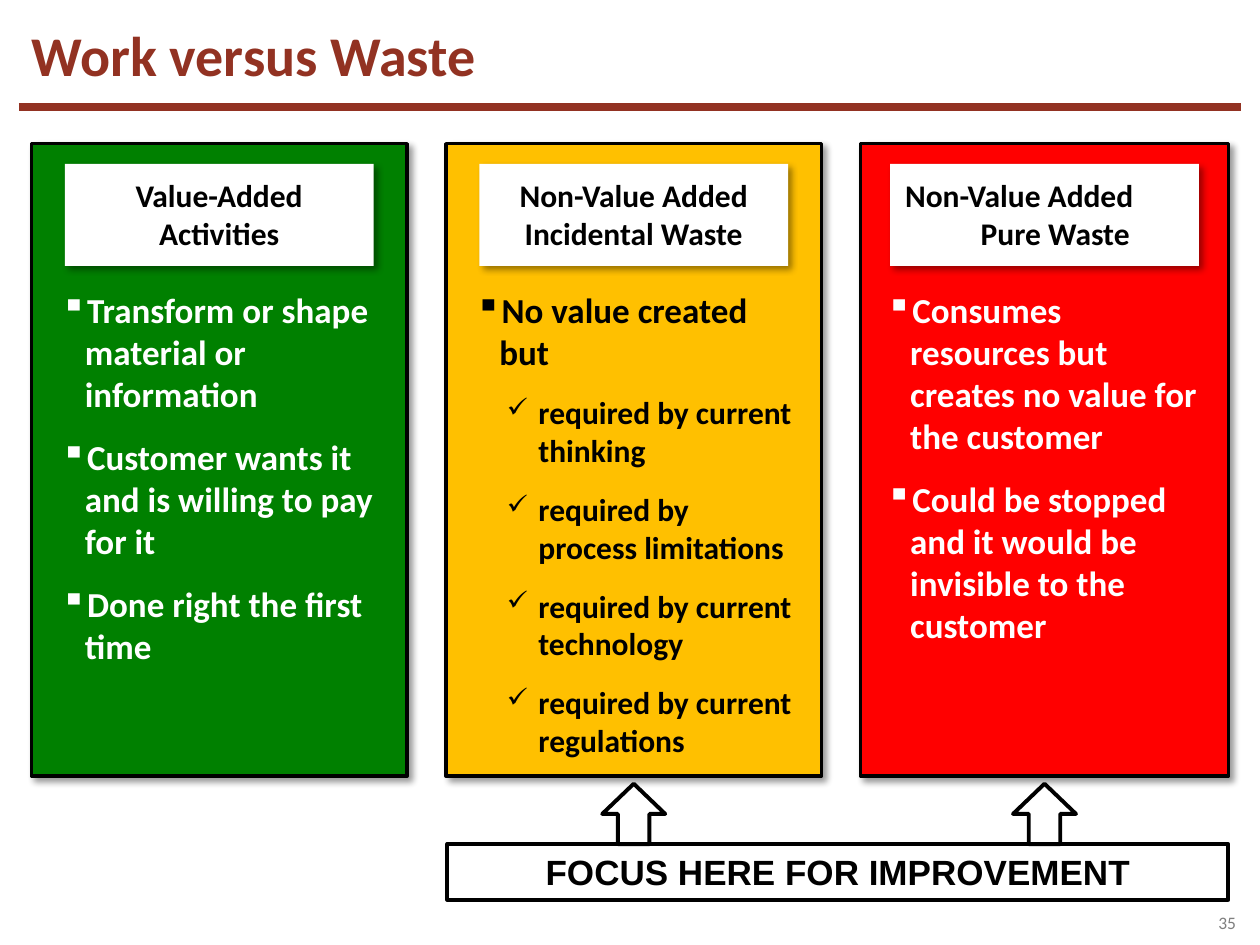
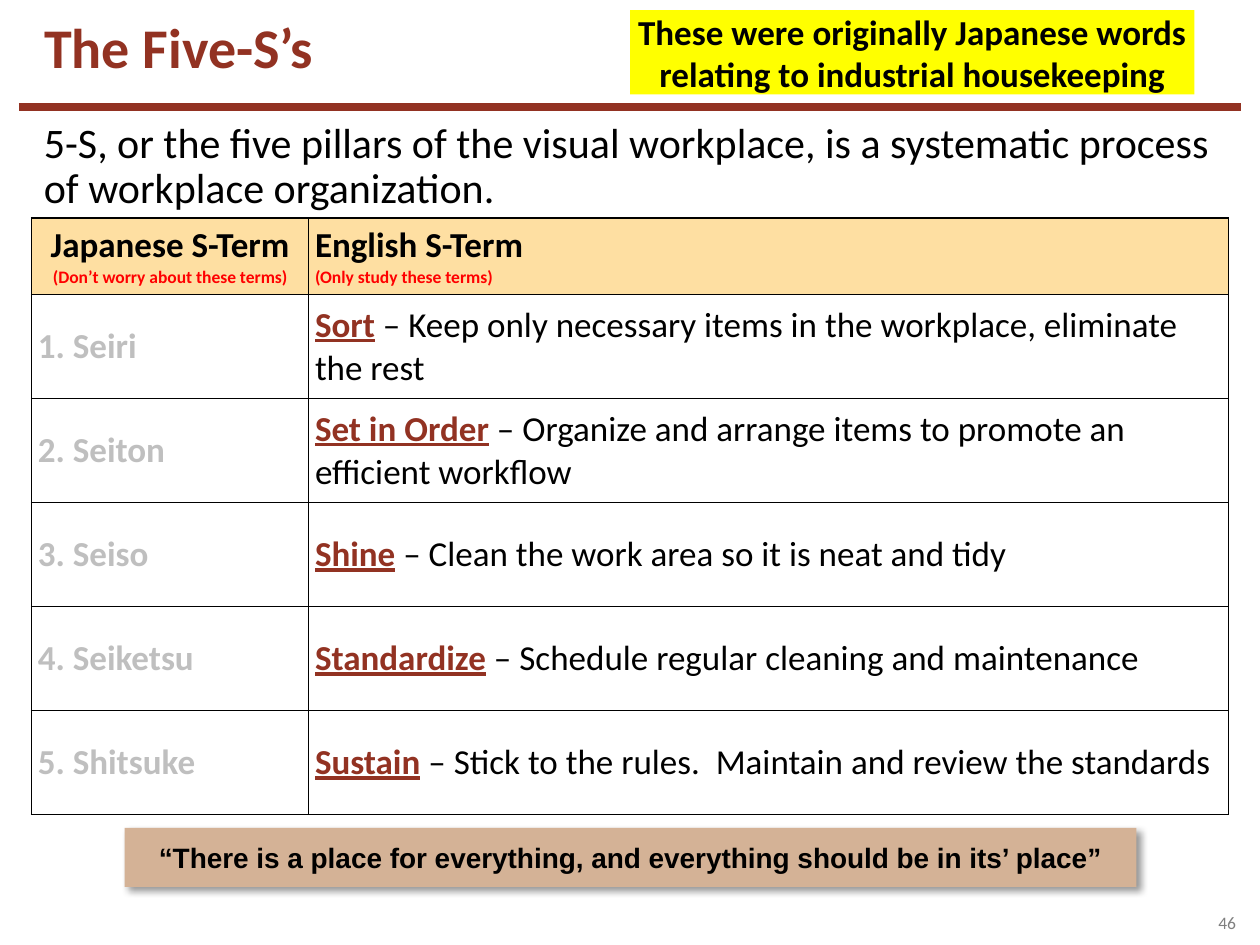
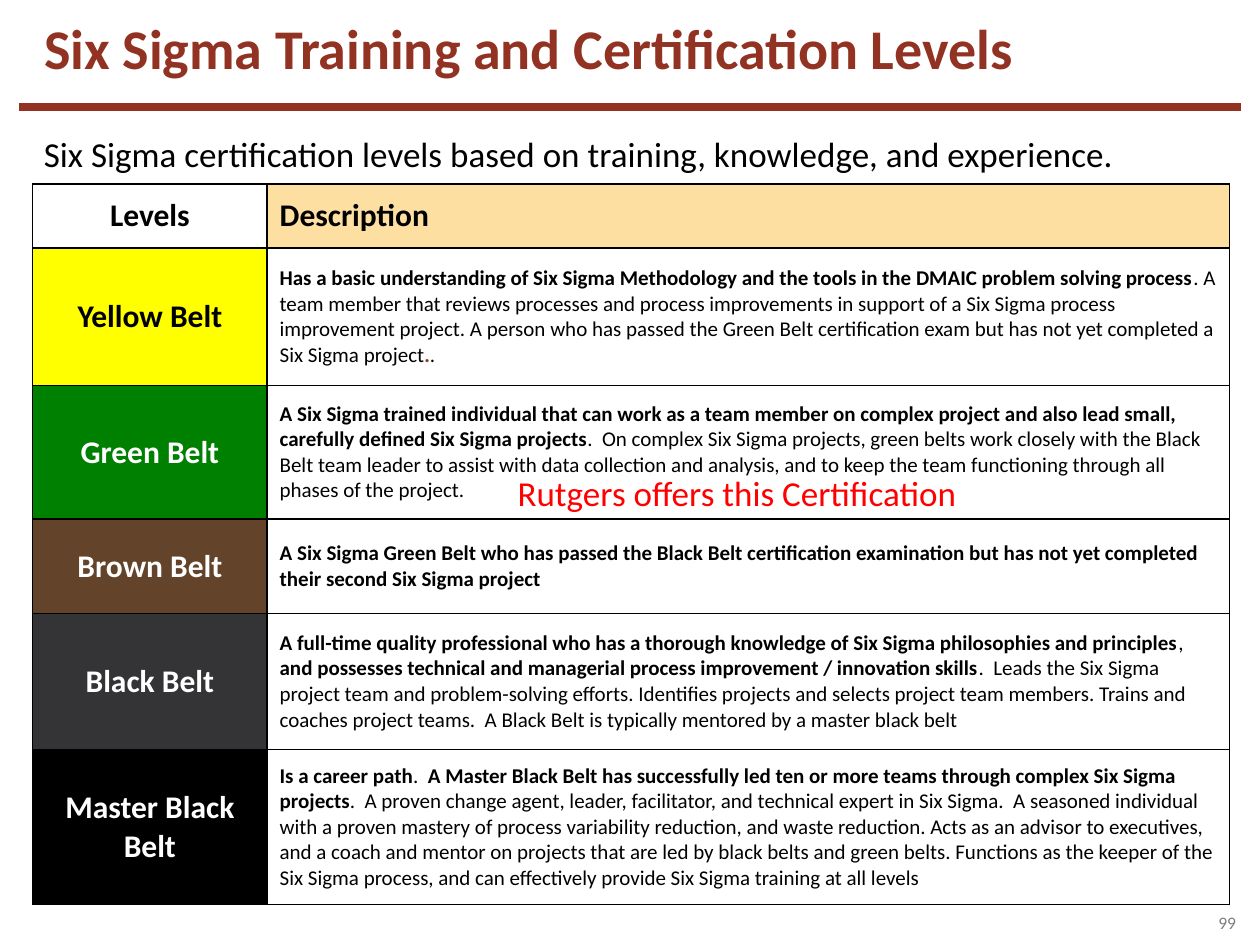
from dataclasses import dataclass
from itertools import chain

from lxml.etree import SubElement
from pptx import Presentation
from pptx.dml.color import RGBColor
from pptx.enum.shapes import MSO_CONNECTOR, MSO_SHAPE
from pptx.enum.text import MSO_ANCHOR, MSO_AUTO_SIZE, PP_ALIGN
from pptx.oxml.ns import qn
from pptx.util import Inches, Pt


@dataclass(frozen=True)
class Theme:
    font: str = "Calibri"
    strong_font: str = "Arial"
    brick: str = "923222"
    black: str = "000000"
    white: str = "FFFFFF"
    red: str = "FF0000"
    green: str = "008000"
    amber: str = "FFC000"
    yellow: str = "FFFF00"
    brown: str = "634329"
    charcoal: str = "343436"
    cream: str = "FEDFA2"
    tan: str = "D4B296"
    silver: str = "BFBFBF"
    grey: str = "7F7F7F"
    title_size: int = 32
    lead_size: int = 24
    body_size: int = 20
    label_size: int = 18
    quote_size: int = 16
    detail_size: int = 12
    small_size: int = 10
    rule_width: float = 4.5
    frame_width: float = 2.25
    panel_width: float = 2
    border_width: float = 1


THEME = Theme()
GRID_COLUMNS = 40
GRID_ROWS = 30
SLIDE_WIDTH = Inches(10)
SLIDE_HEIGHT = Inches(7.5)
INSETS = (0.4, 0.2)
NO_INSETS = (0, 0)


@dataclass(frozen=True)
class Span:
    text: str
    bold: bool = False
    color: str = ""
    underline: bool = False


@dataclass(frozen=True)
class Para:
    content: str | tuple
    size: int = THEME.body_size
    color: str = THEME.black
    bold: bool = False
    font: str = THEME.font
    align: PP_ALIGN = PP_ALIGN.LEFT
    line_spacing: float = 1
    space_after: int = 0
    bullet: str = ""
    bullet_percent: int = 100
    level: int = 0
    left: float = 0
    right: float = 0
    indent: float = 0


@dataclass(frozen=True)
class Cell:
    paras: tuple
    fill: str = ""


def across(columns):
    return round(SLIDE_WIDTH * columns / GRID_COLUMNS)


def down(rows):
    return round(SLIDE_HEIGHT * rows / GRID_ROWS)


def place(box):
    left, top, width, height = box
    return across(left), down(top), across(width), down(height)


def centred(text, size, **style):
    return Para(text, size, align=PP_ALIGN.CENTER, **style)


def point(text, color):
    return Para(text, color=color, bold=True, space_after=12,
                bullet="▪", left=0.76, indent=-0.76)


def check(text):
    return Para(text, THEME.label_size, bold=True, space_after=12, level=1,
                bullet="✓", bullet_percent=85, left=2, indent=-1)


def paint(fill, color):
    if color:
        fill.solid()
        fill.fore_color.rgb = RGBColor.from_string(color)
    else:
        fill.background()


def write_para(paragraph, para):
    paragraph.alignment = para.align
    paragraph.level = para.level
    paragraph.line_spacing = para.line_spacing
    paragraph.space_before = Pt(0)
    paragraph.space_after = Pt(para.space_after)
    properties = paragraph._p.get_or_add_pPr()
    for name, columns in (("marL", para.left), ("marR", para.right), ("indent", para.indent)):
        properties.set(name, str(across(columns)))
    if para.bullet:
        SubElement(properties, qn("a:buSzPct"), val=str(para.bullet_percent * 1000))
        SubElement(properties, qn("a:buChar"), char=para.bullet)
    font = paragraph.font
    font.name = para.font
    font.size = Pt(para.size)
    font.color.rgb = RGBColor.from_string(para.color)
    spans = para.content
    if isinstance(spans, str):
        font.bold = para.bold
        spans = (Span(spans),)
    for span in spans:
        run = paragraph.add_run()
        run.text = span.text
        if para.content is spans:
            run.font.bold = span.bold
        if span.color:
            run.font.color.rgb = RGBColor.from_string(span.color)
        if span.underline:
            run.font.underline = True


def write_text(frame, paras):
    for index, para in enumerate(paras):
        write_para(frame.add_paragraph() if index else frame.paragraphs[0], para)


def set_insets(holder, insets):
    holder.margin_left = holder.margin_right = across(insets[0])
    holder.margin_top = holder.margin_bottom = down(insets[1])


def fill_frame(frame, paras, anchor, insets):
    frame.word_wrap = True
    frame.auto_size = MSO_AUTO_SIZE.NONE
    frame.vertical_anchor = anchor
    set_insets(frame, insets)
    write_text(frame, paras)


def add_text(page, box, *paras, anchor=MSO_ANCHOR.TOP, insets=INSETS):
    fill_frame(page.shapes.add_textbox(*place(box)).text_frame, paras, anchor, insets)


def add_block(page, box, *paras, kind=MSO_SHAPE.RECTANGLE, fill="", line_width=0,
              shadow=False, insets=INSETS):
    shape = page.shapes.add_shape(kind, *place(box))
    paint(shape.fill, fill)
    if line_width:
        shape.line.color.rgb = RGBColor.from_string(THEME.black)
        shape.line.width = Pt(line_width)
    else:
        shape.line.fill.background()
    shape.shadow.inherit = False
    if shadow:
        effects = shape._element.spPr.find(qn("a:effectLst"))
        outer = SubElement(effects, qn("a:outerShdw"), blurRad=str(Pt(4)), dist=str(Pt(3)),
                           dir=str(45 * 60000), algn="tl", rotWithShape="0")
        color = SubElement(outer, qn("a:srgbClr"), val=THEME.black)
        SubElement(color, qn("a:alpha"), val="40000")
    if paras:
        fill_frame(shape.text_frame, paras, MSO_ANCHOR.MIDDLE, insets)


def add_page(deck, title, number, box, line_spacing=0.8, insets=INSETS):
    page = deck.slides.add_slide(deck.slide_layouts[5])
    holder = page.shapes.title
    holder.left, holder.top, holder.width, holder.height = place(box)
    heading = Para(title, THEME.title_size, THEME.brick, bold=True, line_spacing=line_spacing)
    fill_frame(holder.text_frame, (heading,), MSO_ANCHOR.MIDDLE, insets)
    rule = page.shapes.add_connector(MSO_CONNECTOR.STRAIGHT, across(0.6), down(3.4),
                                     across(GRID_COLUMNS - 0.6), down(3.4))
    rule.line.color.rgb = RGBColor.from_string(THEME.brick)
    rule.line.width = Pt(THEME.rule_width)
    SubElement(rule._element.spPr, qn("a:effectLst"))
    add_text(page, (38.68, 28.92, 1.04, 0.72),
             Para(str(number), THEME.small_size, THEME.grey),
             anchor=MSO_ANCHOR.MIDDLE, insets=NO_INSETS)
    return page


def add_borders(cell):
    properties = cell._tc.get_or_add_tcPr()
    for side in ("a:lnL", "a:lnR", "a:lnT", "a:lnB"):
        line = SubElement(properties, qn(side), w=str(Pt(THEME.border_width)))
        SubElement(SubElement(line, qn("a:solidFill")), qn("a:srgbClr"), val=THEME.black)


def add_cells(page, left, top, widths, heights, rows, insets=INSETS):
    box = (left, top, sum(widths), sum(heights))
    table = page.shapes.add_table(len(rows), len(widths), *place(box)).table
    table.first_row = table.horz_banding = False
    for column, width in zip(table.columns, widths):
        column.width = across(width)
    for row, height in zip(table.rows, heights):
        row.height = down(height)
    for cell, content in zip(table.iter_cells(), chain.from_iterable(rows)):
        add_borders(cell)
        paint(cell.fill, content.fill)
        cell.vertical_anchor = MSO_ANCHOR.MIDDLE
        set_insets(cell, insets)
        write_text(cell.text_frame, content.paras)


def add_panel(page, left, width, fill, headings, points):
    middle = left + width / 2
    add_block(page, (left, 4.56, width, 20.08), fill=fill,
              line_width=THEME.panel_width, shadow=True)
    add_text(page, (middle - 5.42, 8.96, 10.84, 15.48), *points)
    add_block(page, (middle - 4.9, 5.2, 9.8, 3.24), fill=THEME.white, shadow=True)
    add_text(page, (middle - 4.92, 5.56, 9.84, 2.48), *headings, anchor=MSO_ANCHOR.MIDDLE)


def add_focus_arrow(page, middle):
    add_block(page, (middle - 1, 24.88, 2, 1.92), kind=MSO_SHAPE.UP_ARROW,
              line_width=THEME.frame_width)


def build_waste_page(deck):
    page = add_page(deck, "Work versus Waste", 35, (1, 0.8, 14.24, 2.04), 0.95, NO_INSETS)
    label = THEME.label_size
    panels = (
        (11.92, THEME.green,
         (centred("Value-Added Activities", label, bold=True),),
         [point(text, THEME.white) for text in (
             "Transform or shape material or information",
             "Customer wants it and is willing to pay for it",
             "Done right the first time")]),
        (11.92, THEME.amber,
         (centred("Non-Value Added Incidental Waste", label, bold=True),),
         [point("No value created but", THEME.black)] + [
             check("required by " + cause) for cause in (
                 "current thinking", "process limitations",
                 "current technology", "current regulations")]),
        (11.68, THEME.red,
         (centred("Non-Value Added", label, bold=True, right=1.6),
          centred("Pure Waste", label, bold=True, left=0.68)),
         [point(text, THEME.white) for text in (
             "Consumes resources but creates no value for the customer",
             "Could be stopped and it would be invisible to the customer")]),
    )
    for index, (width, fill, headings, points) in enumerate(panels):
        left = 1 + 13.16 * index
        add_panel(page, left, width, fill, headings, points)
        if index:
            add_focus_arrow(page, left + width / 2)
    add_block(page, (14.2, 26.8, 24.8, 1.76),
              centred("FOCUS HERE FOR IMPROVEMENT", THEME.body_size, bold=True,
                      font=THEME.strong_font),
              line_width=THEME.frame_width)


def build_five_s_page(deck):
    page = add_page(deck, "The Five-S’s", 46, (1, 0.84, 39, 1.64))
    terms = (
        ("Seiri", "Sort", "Keep only necessary items in the workplace, eliminate the rest"),
        ("Seiton", "Set in Order",
         "Organize and arrange items to promote an efficient workflow"),
        ("Seiso", "Shine", "Clean the work area so it is neat and tidy"),
        ("Seiketsu", "Standardize", "Schedule regular cleaning and maintenance"),
        ("Shitsuke", "Sustain", "Stick to the rules.  Maintain and review the standards"),
    )
    headers = (
        ("Japanese S-Term", "(Don’t worry about these terms)", PP_ALIGN.CENTER),
        ("English S-Term", "(Only study these terms)", PP_ALIGN.LEFT),
    )
    rows = [[Cell((Para(name, bold=True, align=align),
                   Para(hint, THEME.small_size, THEME.red, bold=True, align=align)),
                  THEME.cream)
             for name, hint, align in headers]]
    for number, (japanese, english, meaning) in enumerate(terms, 1):
        spans = (Span(english, True, THEME.brick, True), Span(f" – {meaning}"))
        rows.append([Cell((Para(f"{number}. {japanese}", color=THEME.silver, bold=True),)),
                     Cell((Para(spans),))])
    add_cells(page, 1, 6.92, (8.8, 29.2), [2.04] + [3.3] * len(terms), rows, (0.2, 0.2))
    add_block(page, (20, 0.32, 17.92, 2.68),
              centred("These were originally Japanese words relating to industrial housekeeping",
                      THEME.body_size, bold=True),
              fill=THEME.yellow, insets=NO_INSETS)
    add_text(page, (1, 3.68, 38, 3.32),
             Para("5-S, or the five pillars of the visual workplace, is a systematic process "
                  "of workplace organization.", THEME.lead_size, line_spacing=0.9))
    add_block(page, (3.96, 26.28, 32.12, 1.88),
              centred("“There is a place for everything, and everything should be in its’ place”",
                      THEME.quote_size, bold=True, font=THEME.strong_font),
              fill=THEME.tan, shadow=True, insets=(0.4, 0.4))


def build_levels_page(deck):
    page = add_page(deck, "Six Sigma Training and Certification Levels", 99,
                    (1, 0.6, 38, 2.16))
    levels = (
        ("Yellow Belt", THEME.yellow, THEME.black, 4.36, (
            Span("Has a basic understanding of Six Sigma Methodology and the tools in the "
                 "DMAIC problem solving process", True),
            Span(". A team member that reviews processes and process improvements in support "
                 "of a Six Sigma process improvement project. A person who has passed the "
                 "Green Belt certification exam but has not yet completed a Six Sigma project"),
            Span(".", True, THEME.brick),
            Span("."))),
        ("Green Belt", THEME.green, THEME.white, 4.24, (
            Span("A Six Sigma trained individual that can work as a team member on complex "
                 "project and also lead small, carefully defined Six Sigma projects", True),
            Span(".  On complex Six Sigma projects, green belts work closely with the Black "
                 "Belt team leader to assist with data collection and analysis, and to keep "
                 "the team functioning through all phases of the project."))),
        ("Brown Belt", THEME.brown, THEME.white, 3, (
            Span("A Six Sigma Green Belt who has passed the Black Belt certification "
                 "examination but has not yet completed their second Six Sigma project", True),)),
        ("Black Belt", THEME.charcoal, THEME.white, 4.32, (
            Span("A full-time quality professional who has a thorough knowledge of Six Sigma "
                 "philosophies and principles", True),
            Span(", "),
            Span("and possesses technical and managerial process improvement / innovation "
                 "skills", True),
            Span(".  Leads the Six Sigma project team and problem-solving efforts. Identifies "
                 "projects and selects project team members. Trains and coaches project "
                 "teams.  A Black Belt is typically mentored by a master black belt"))),
        ("Master Black Belt", THEME.black, THEME.white, 4.92, (
            Span("Is a career path", True),
            Span(".  "),
            Span("A Master Black Belt has successfully led ten or more teams through complex "
                 "Six Sigma projects", True),
            Span(".  A proven change agent, leader, facilitator, and technical expert in Six "
                 "Sigma.  A seasoned individual with a proven mastery of process variability "
                 "reduction, and waste reduction. Acts as an advisor to executives, and a "
                 "coach and mentor on projects that are led by black belts and green belts. "
                 "Functions as the keeper of the Six Sigma process, and can effectively "
                 "provide Six Sigma training at all levels"))),
    )
    label = THEME.label_size
    rows = [[Cell((centred("Levels", label, bold=True),)),
             Cell((Para("Description", label, bold=True),), THEME.cream)]]
    heights = [2.04]
    for name, fill, color, height, spans in levels:
        rows.append([Cell((centred(name, label, color=color, bold=True),), fill),
                     Cell((Para(spans, THEME.detail_size),))])
        heights.append(height)
    add_cells(page, 1.04, 5.84, (7.44, 30.56), heights, rows)
    add_text(page, (1, 4, 38, 1.76),
             Para("Six Sigma certification levels based on training, knowledge, and experience."))
    add_text(page, (16.04, 14.76, 14.92, 1.76),
             Para("Rutgers offers this Certification", color=THEME.red))


def main():
    deck = Presentation()
    deck.slide_width = SLIDE_WIDTH
    deck.slide_height = SLIDE_HEIGHT
    build_waste_page(deck)
    build_five_s_page(deck)
    build_levels_page(deck)
    deck.save("out.pptx")


if __name__ == "__main__":
    main()
